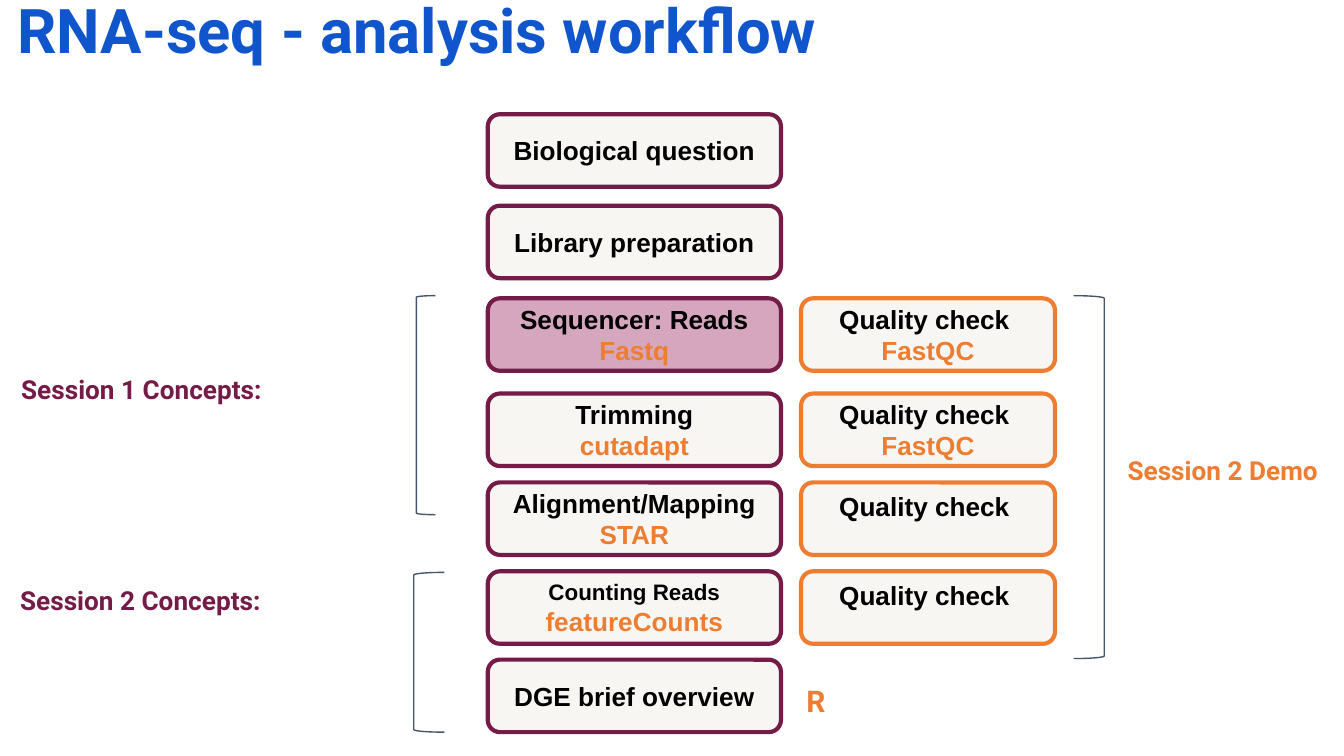
from pptx import Presentation
from pptx.dml.color import RGBColor as Rgb
from pptx.enum.shapes import MSO_SHAPE as Geo
from pptx.enum.text import MSO_ANCHOR as Anchor, PP_ALIGN as Align
from pptx.util import Cm, Pt

HUES = {
    "blue": "1155CC", "plum": "741B47", "pink": "D5A6BD", "orange": "ED7D31",
    "paper": "F7F6F3", "slate": "44546A", "black": "000000",
}
INSET = 0.25


def assign(target, values):
    for name, value in values.items():
        setattr(target, name, value)


class Deck:
    def __init__(self, wide, high):
        self.file = Presentation()
        assign(self.file, {"slide_width": Cm(wide), "slide_height": Cm(high)})
        self.slide = self.file.slides.add_slide(self.file.slide_layouts[6])

    def hue(self, name):
        return Rgb.from_string(HUES[name])

    def frame(self, shape, inset=INSET, **more):
        sides = ("left", "top", "right", "bottom")
        style = {f"margin_{side}": Cm(inset) for side in sides}
        style.update(word_wrap=True, vertical_anchor=Anchor.TOP)
        style.update(more)
        assign(shape.text_frame, style)
        return shape.text_frame

    def words(self, para, text, size, hue, font, align=Align.LEFT):
        para.alignment = align
        run = para.add_run()
        run.text = text
        assign(run.font, {"name": font, "size": Pt(size), "bold": True})
        run.font.color.rgb = self.hue(hue)

    def label(self, text, place, size, hue, inset=INSET, space=1.0):
        box = self.slide.shapes.add_textbox(*map(Cm, place))
        para = self.frame(box, inset).paragraphs[0]
        para.line_spacing = space
        self.words(para, text, size, hue, "Roboto")

    def outline(self, kind, place, hue, width, bend):
        shape = self.slide.shapes.add_shape(kind, *map(Cm, place))
        shape.shadow.inherit = False
        shape.adjustments[0] = bend
        shape.line.color.rgb = self.hue(hue)
        shape.line.width = Pt(width)
        return shape

    def step(self, place, lines, edge, fill="paper", **more):
        shape = self.outline(Geo.ROUNDED_RECTANGLE, place, edge, 2.25, 0.167)
        shape.fill.solid()
        shape.fill.fore_color.rgb = self.hue(fill)
        style = {"vertical_anchor": Anchor.MIDDLE, **more}
        frame = self.frame(shape, **style)
        for i, (text, size, hue) in enumerate(lines):
            para = frame.add_paragraph() if i else frame.paragraphs[0]
            self.words(para, text, size, hue, "Arial", Align.CENTER)

    def bracket(self, kind, place):
        self.outline(kind, place, "slate", 0.75, 0.083).fill.background()


def main():
    deck = Deck(25.4, 14.29)
    deck.label("RNA-seq - analysis workflow", (0.33, 0, 21.9, 2.06), 33, "blue", 0, 0.9)

    steps = [
        (2.16, "Biological question", 14, "", None),
        (3.89, "Library preparation", 14, "", None),
        (5.64, "Sequencer: Reads", 14, "Fastq", "FastQC"),
        (7.44, "Trimming", 14, "cutadapt", "FastQC"),
        (9.12, "Alignment/Mapping", 14, "STAR", ""),
        (10.8, "Counting Reads", 12, "featureCounts", ""),
        (12.47, "DGE brief overview", 14, "", None),
    ]
    high = {"vertical_anchor": Anchor.TOP, "margin_top": Cm(0.09), "margin_bottom": 0}
    for top, name, size, tool, check in steps:
        lines = [(name, size, "black")]
        if tool:
            lines.append((tool, 14, "orange"))
        fill = "pink" if tool == "Fastq" else "paper"
        deck.step((9.22, top, 5.54, 1.37), lines, "plum", fill)
        if check is not None:
            lines = [("Quality check ", 14, "black")]
            if check:
                lines.append((check, 14, "orange"))
            more = {} if check else high
            deck.step((15.14, top, 4.8, 1.37), lines, "orange", **more)

    brackets = [
        (Geo.LEFT_BRACKET, (7.87, 5.59, 0.36, 4.14)),
        (Geo.LEFT_BRACKET, (7.82, 10.82, 0.58, 3.02)),
        (Geo.RIGHT_BRACKET, (20.29, 5.59, 0.58, 6.86)),
    ]
    for kind, place in brackets:
        deck.bracket(kind, place)

    labels = [
        ("Session 1 Concepts:", (0.15, 6.81, 8.69, 1.12), 14, "plum"),
        ("Session 2 Concepts:", (0.13, 10.8, 8.69, 1.7), 14, "plum"),
        ("Session 2 Demo", (21.06, 8.33, 4.34, 1.7), 14, "orange"),
        ("R", (14.99, 12.65, 1.57, 0.58), 16, "orange"),
    ]
    for label in labels:
        deck.label(*label)

    deck.file.save("out.pptx")


if __name__ == "__main__":
    main()
